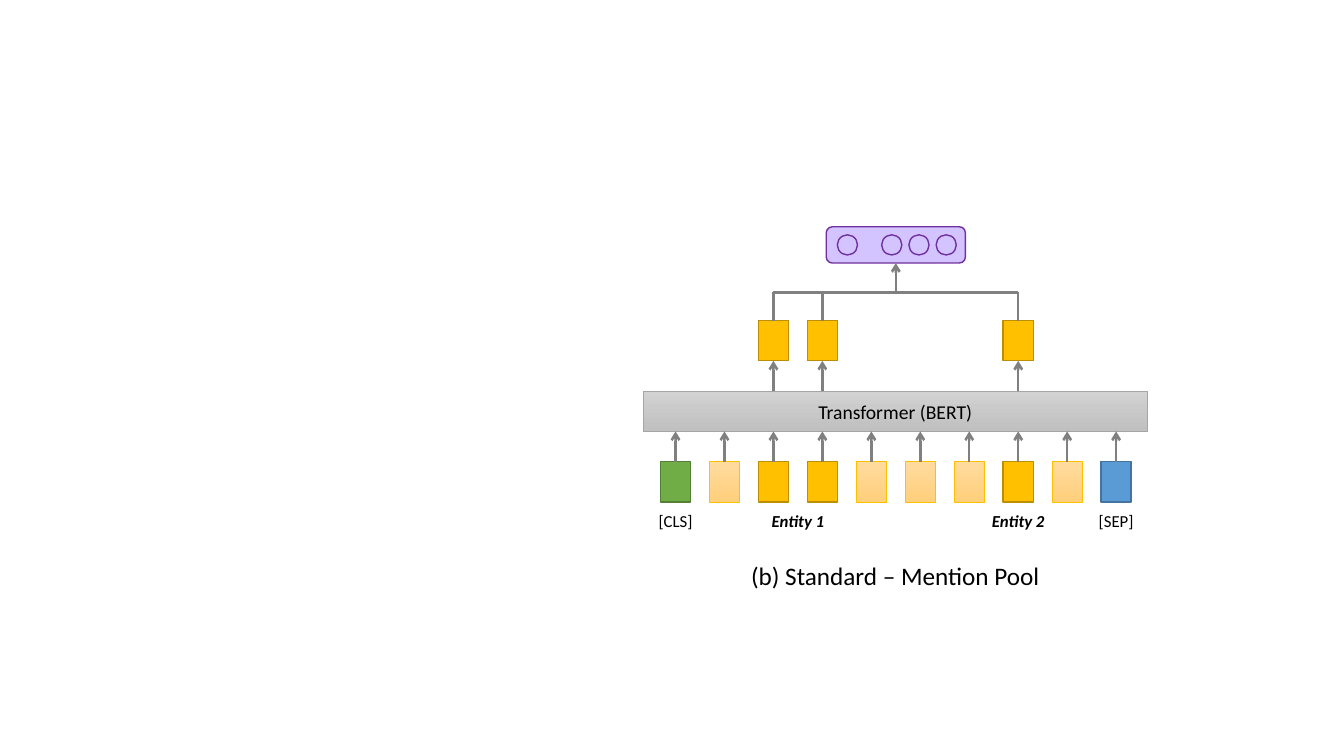
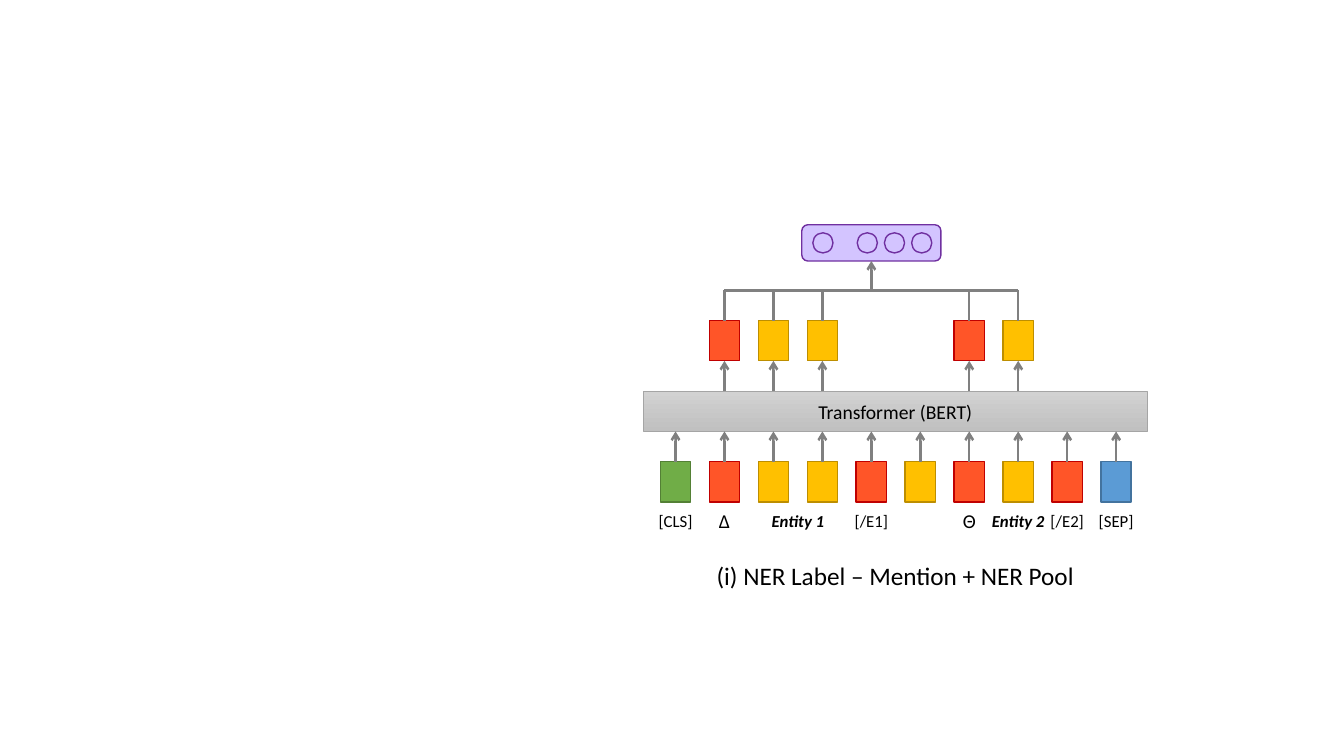
from pptx import Presentation
from pptx.dml.color import RGBColor
from pptx.enum.shapes import MSO_CONNECTOR as Line, MSO_SHAPE as Shape
from pptx.enum.text import MSO_ANCHOR as Anchor, PP_ALIGN as Align
from pptx.oxml.ns import qn
from pptx.util import Inches, Pt
from lxml.etree import SubElement

FONT = "Calibri"
BLACK, GRAY = "000000", "808080"
STYLES = {
    "cls": (["70AD47"], "538035", 1),
    "word": (["FFDB9E", "FFD07C"], "FFC000", 0.5),
    "entity": (["FFC000"], "BD8E00", 1),
    "marker": (["FF5528"], "C00000", 1),
    "sep": (["5B9BD5"], "43739E", 1),
    "encoder": (["D2D2D2", "C0C0C0"], "A5A5A5", 0.5),
    "vector": (["D3C4FF"], "7030A0", 1),
}
TOKEN_FORMAT = {"size": Pt(12)}
SYMBOL_FORMAT = {"size": Pt(14)}
ENTITY_FORMAT = {"size": Pt(12), "bold": True, "italic": True}
CAPTION_FORMAT = {"size": Pt(18)}

SHARED_LABELS = [
    ("[CLS]", 0, TOKEN_FORMAT),
    ("Entity 1", 2.5, ENTITY_FORMAT),
    ("Entity 2", 7, ENTITY_FORMAT),
    ("[SEP]", 9, TOKEN_FORMAT),
]
DIAGRAMS = [
    {
        "caption": "(b) Standard – Mention Pool",
        "tokens": ["cls", "word", "entity", "entity", "word",
                   "word", "word", "entity", "word", "sep"],
        "labels": [],
        "pooled": [2, 3, 7],
        "bus": 2.9,
    },
    {
        "caption": "(i) NER Label – Mention + NER Pool",
        "tokens": ["cls", "marker", "entity", "entity", "marker",
                   "entity", "marker", "entity", "marker", "sep"],
        "labels": [("Δ", 1, SYMBOL_FORMAT), ("[/E1]", 4, TOKEN_FORMAT),
                   ("Θ", 6, SYMBOL_FORMAT), ("[/E2]", 8, TOKEN_FORMAT)],
        "pooled": [1, 2, 3, 6, 7],
        "bus": 2.88,
    },
]

FIRST, LAST, COLUMNS = 6.7, 11.07, 10
ENCODER = (6.38, 3.88, 5, 0.4)
CELL_W, CELL_H = 0.3, 0.4
TOKEN_ROW, POOLED_ROW, LABEL_ROW, CAPTION_ROW = 4.58, 3.18, 5.17, 5.71
VECTOR_W, VECTOR_H, VECTOR_RISE = 1.38, 0.36, 0.65
DOT, DOT_STEP, DOT_SLOTS = 0.2, 0.27, [0.11, 0.55]


def color(value):
    return RGBColor.from_string(value)


def column_x(column):
    return FIRST + column * (LAST - FIRST) / (COLUMNS - 1)


def write(box, text, values):
    frame = box.text_frame
    frame.word_wrap = True
    frame.margin_left = frame.margin_right = 0
    frame.vertical_anchor = Anchor.MIDDLE
    para = frame.paragraphs[0]
    para.alignment = Align.CENTER
    span = para.add_run()
    span.text = text
    span.font.color.rgb = color(BLACK)
    for name, value in {"name": FONT, **values}.items():
        setattr(span.font, name, value)


def add_label(page, text, center, middle, width, values):
    height = 0.4
    box = page.shapes.add_textbox(
        *map(Inches, (center - width / 2, middle - height / 2, width, height)))
    write(box, text, values)


def add_block(page, kind, style, left, top, width, height):
    fills, edge, weight = STYLES[style]
    block = page.shapes.add_shape(kind, *map(Inches, (left, top, width, height)))
    block.shadow.inherit = False
    if len(fills) > 1:
        block.fill.gradient()
        block.fill.gradient_angle = 270
        for stop, value in zip(block.fill.gradient_stops, fills):
            stop.color.rgb = color(value)
    else:
        block.fill.solid()
        block.fill.fore_color.rgb = color(fills[0])
    block.line.color.rgb = color(edge)
    block.line.width = Pt(weight)
    return block


def add_cell(page, style, column, top):
    left = column_x(column) - CELL_W / 2
    return add_block(page, Shape.RECTANGLE, style, left, top, CELL_W, CELL_H)


def add_line(page, start, end, source=None, target=None, arrow=False):
    line = page.shapes.add_connector(Line.STRAIGHT, *map(Inches, start + end))
    line.line.color.rgb = color(GRAY)
    line.line.width = Pt(1.75)
    if source:
        line.begin_connect(source, 0)
    if target:
        line.end_connect(target, 2)
    properties = line.element.spPr
    if arrow:
        SubElement(properties.find(qn("a:ln")), qn("a:tailEnd"), type="arrow")
    SubElement(properties, qn("a:effectLst"))


def add_vector(page, center, bus):
    left, top = center - VECTOR_W / 2, bus - VECTOR_RISE
    vector = add_block(page, Shape.ROUNDED_RECTANGLE, "vector",
                       left, top, VECTOR_W, VECTOR_H)
    first, second = DOT_SLOTS
    for offset in [first] + [second + step * DOT_STEP for step in range(3)]:
        add_block(page, Shape.OVAL, "vector", left + offset,
                  top + (VECTOR_H - DOT) / 2, DOT, DOT)
    return vector


def add_diagram(page, diagram):
    left, encoder_top, width, height = ENCODER
    encoder_bottom = encoder_top + height
    encoder = add_block(page, Shape.RECTANGLE, "encoder", *ENCODER)
    write(encoder, "Transformer (BERT)", {"size": Pt(14)})

    for column, style in enumerate(diagram["tokens"]):
        x = column_x(column)
        token = add_cell(page, style, column, TOKEN_ROW)
        add_line(page, (x, TOKEN_ROW), (x, encoder_bottom), source=token, arrow=True)

    for text, column, values in SHARED_LABELS + diagram["labels"]:
        add_label(page, text, column_x(column), LABEL_ROW, 0.88, values)
    add_label(page, diagram["caption"], left + width / 2, CAPTION_ROW,
              width, CAPTION_FORMAT)

    bus, pooled = diagram["bus"], diagram["pooled"]
    for column in pooled:
        x = column_x(column)
        cell = add_cell(page, diagram["tokens"][column], column, POOLED_ROW)
        add_line(page, (x, encoder_top), (x, POOLED_ROW + CELL_H),
                 target=cell, arrow=True)
        add_line(page, (x, POOLED_ROW), (x, bus), source=cell)

    start, end = column_x(pooled[0]), column_x(pooled[-1])
    center = (start + end) / 2
    add_line(page, (start, bus), (end, bus))
    vector = add_vector(page, center, bus)
    add_line(page, (center, bus), (center, bus - VECTOR_RISE + VECTOR_H),
             target=vector, arrow=True)


def main():
    deck = Presentation()
    deck.slide_width, deck.slide_height = Inches(13.33), Inches(7.5)
    for diagram in DIAGRAMS:
        add_diagram(deck.slides.add_slide(deck.slide_layouts[6]), diagram)
    deck.save("out.pptx")


if __name__ == "__main__":
    main()
